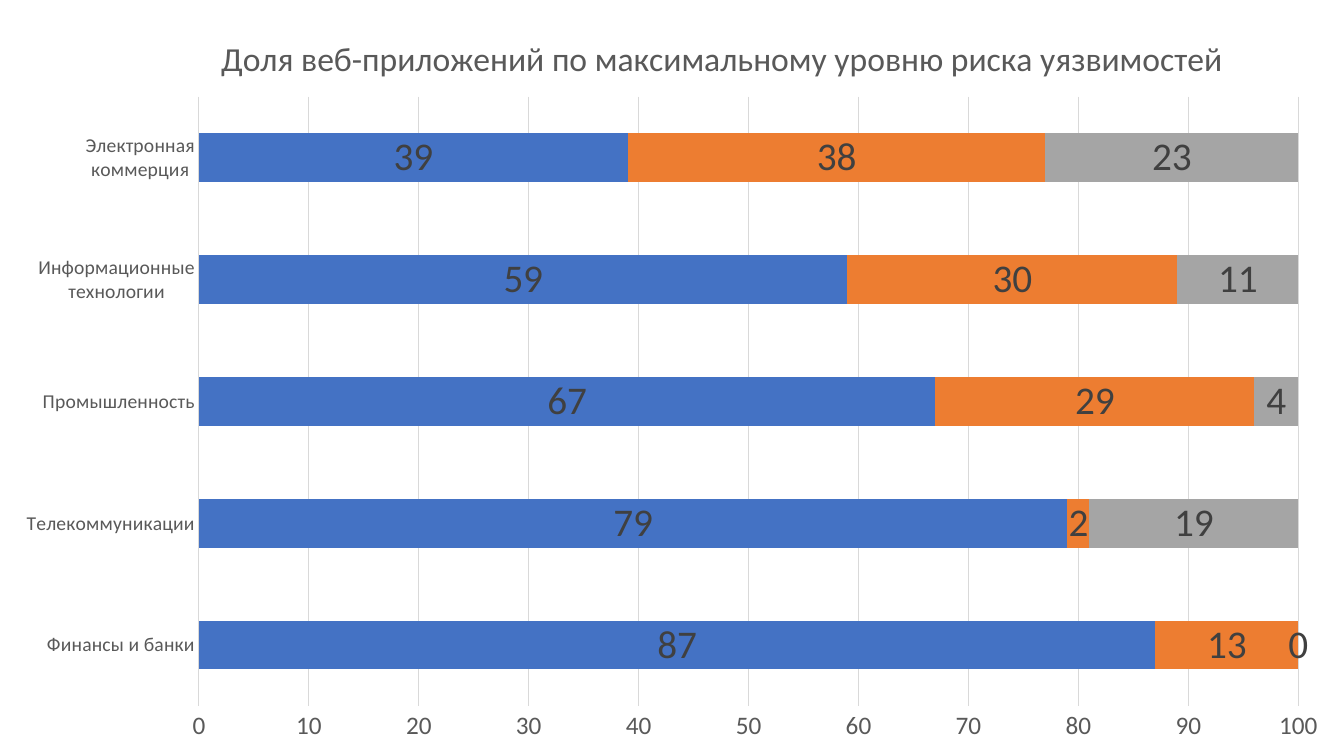
import pptx
import pptx.chart.data
import pptx.dml.color
import pptx.enum.chart
import pptx.oxml
import pptx.oxml.ns
import pptx.util
from pptx.util import Inches

RGBColor = pptx.dml.color.RGBColor
BLUE = RGBColor(0x44, 0x72, 0xC4)
ORANGE = RGBColor(0xED, 0x7D, 0x31)
GRAY = RGBColor(0xA5, 0xA5, 0xA5)
TEXT_GRAY = RGBColor(0x59, 0x59, 0x59)
LABEL_GRAY = RGBColor(0x40, 0x40, 0x40)
LINE_GRAY = RGBColor(0xD9, 0xD9, 0xD9)
BLACK = RGBColor(0, 0, 0)

TITLE = "Доля веб-приложений по максимальному уровню риска уязвимостей"
SECTORS = [
    "Финансы и банки",
    "Телекоммуникации",
    "Промышленность",
    "Информационные технологии",
    "Электронная коммерция",
]
RISK_SERIES = [
    ("Series 1", [87, 79, 67, 59, 39], BLUE),
    ("Series 2", [13, 2, 29, 30, 38], ORANGE),
    ("Series 3", [0, 19, 4, 11, 23], GRAY),
]


def set_font(font, size, color):
    font.name = "Calibri"
    font.size = pptx.util.Pt(size)
    font.bold = False
    font.color.rgb = color


def set_line(line, color):
    line.color.rgb = color
    line.width = pptx.util.Pt(0.75)


def place_part(part, index, **fractions):
    """Give a chart part a manual layout in fractions of the chart size."""
    for automatic_layout in part.xpath("c:layout"):
        part.remove(automatic_layout)
    target = '<c:layoutTarget val="inner"/>' if "w" in fractions else ""
    modes = "".join(f'<c:{key}Mode val="edge"/>' for key in ("x", "y"))
    values = "".join(f'<c:{key} val="{value}"/>' for key, value in fractions.items())
    part.insert(index, pptx.oxml.parse_xml(
        f'<c:layout {pptx.oxml.ns.nsdecls("c")}><c:manualLayout>'
        f"{target}{modes}{values}</c:manualLayout></c:layout>"))


def add_risk_chart(slide, width, height):
    data = pptx.chart.data.CategoryChartData()
    data.categories = SECTORS
    for name, values, _ in RISK_SERIES:
        data.add_series(name, values)
    chart = slide.shapes.add_chart(
        pptx.enum.chart.XL_CHART_TYPE.BAR_STACKED, 0, 0, width, height, data).chart
    chart.has_legend = False
    set_font(chart.font, 10, BLACK)
    return chart


def format_title(chart):
    chart.has_title = True
    paragraph = chart.chart_title.text_frame.paragraphs[0]
    paragraph.text = TITLE
    set_font(paragraph.runs[0].font, 24, TEXT_GRAY)
    chart.chart_title.include_in_layout = False
    place_part(chart.element.xpath("c:chart/c:title")[0], 1, x=0.16, y=0.04)


def format_axis(axis, size):
    axis.major_tick_mark = pptx.enum.chart.XL_TICK_MARK.NONE
    axis.minor_tick_mark = pptx.enum.chart.XL_TICK_MARK.NONE
    set_font(axis.tick_labels.font, size, TEXT_GRAY)


def format_axes(chart):
    format_axis(chart.category_axis, 14)
    set_line(chart.category_axis.format.line, LINE_GRAY)

    value_axis = chart.value_axis
    format_axis(value_axis, 18)
    value_axis.minimum_scale = 0
    value_axis.maximum_scale = 100
    value_axis.major_unit = 10
    value_axis.format.line.fill.background()
    value_axis.has_major_gridlines = True
    set_line(value_axis.major_gridlines.format.line, LINE_GRAY)


def format_bars(chart):
    plot = chart.plots[0]
    plot.gap_width = 150
    plot.overlap = 100
    plot.vary_by_categories = False
    for series, (_, _, color) in zip(plot.series, RISK_SERIES):
        series.format.fill.solid()
        series.format.fill.fore_color.rgb = color
        labels = series.data_labels
        labels.show_value = True
        labels.position = pptx.enum.chart.XL_LABEL_POSITION.CENTER
        set_font(labels.font, 28, LABEL_GRAY)


def main():
    presentation = pptx.Presentation()
    presentation.slide_width = Inches(13.33)
    presentation.slide_height = Inches(7.5)
    slide = presentation.slides.add_slide(presentation.slide_layouts[6])
    chart = add_risk_chart(slide, presentation.slide_width, presentation.slide_height)
    format_title(chart)
    format_axes(chart)
    format_bars(chart)
    place_part(chart.element.xpath("c:chart/c:plotArea")[0], 0,
               x=0.148, y=0.128, w=0.818, h=0.806)
    presentation.save("out.pptx")


if __name__ == "__main__":
    main()
